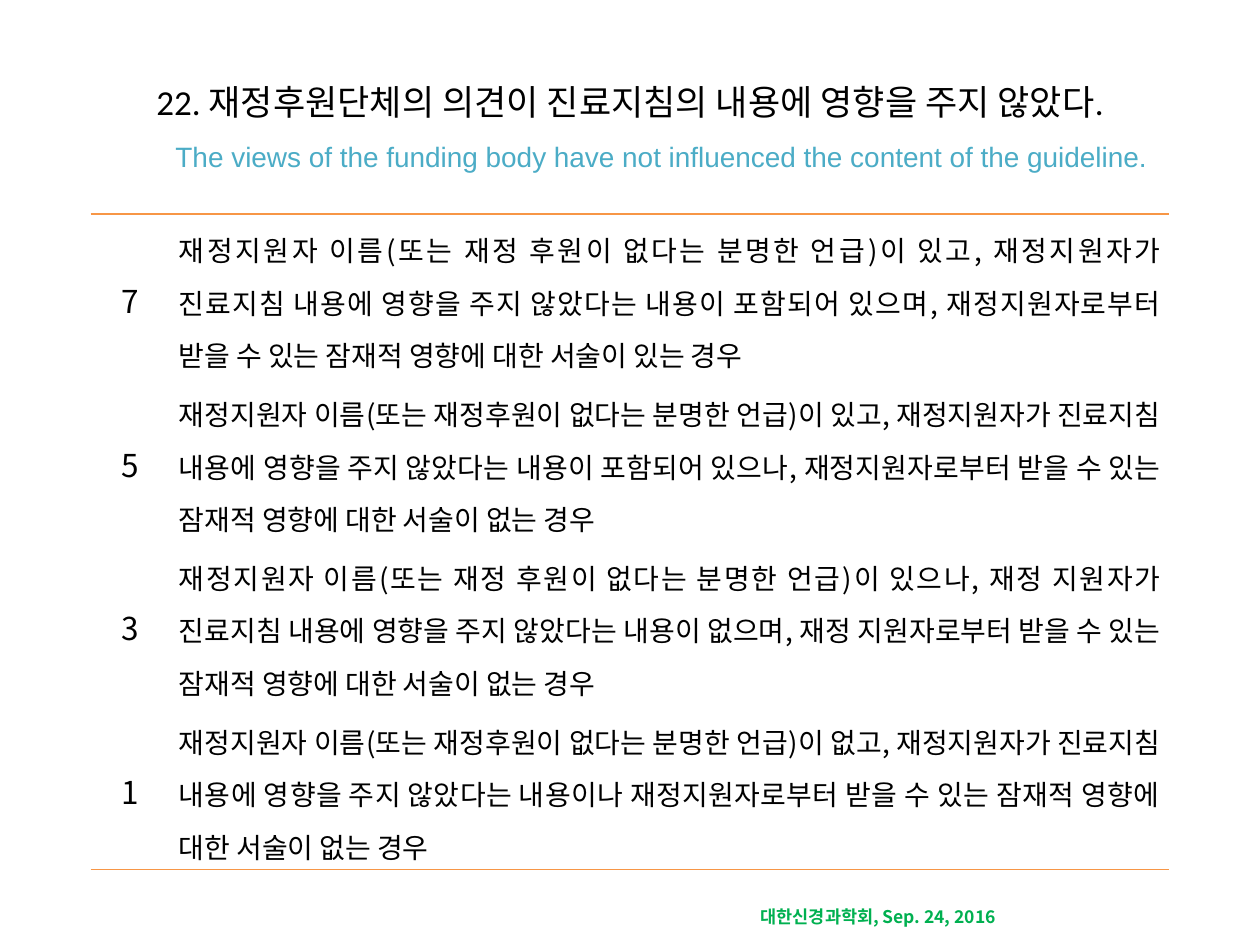
from pptx import Presentation
from pptx.dml.color import RGBColor
from pptx.enum.text import MSO_ANCHOR, PP_ALIGN
from pptx.oxml import parse_xml
from pptx.oxml.ns import nsdecls
from pptx.util import Pt

CENTER, JUSTIFY, LEFT = PP_ALIGN.CENTER, PP_ALIGN.JUSTIFY, PP_ALIGN.LEFT
MIDDLE = MSO_ANCHOR.MIDDLE

KOREAN_FONT = "Noto Sans CJK KR"
THEME = {
    "heading": {"name": "Calibri", "size": Pt(20), "color": "000000"},
    "subheading": {"name": "Arial", "size": Pt(16), "color": "4BACC6"},
    "score": {"name": KOREAN_FONT, "size": Pt(18), "color": "000000"},
    "criterion": {"name": KOREAN_FONT, "size": Pt(16), "color": "000000"},
    "footer": {"name": KOREAN_FONT, "size": Pt(10), "color": "00B050", "bold": True},
    "rule": "F79646",
}

CRITERIA = [
    ("7", "재정지원자 이름(또는 재정 후원이 없다는 분명한 언급)이 있고, 재정지원자가 "
          "진료지침 내용에 영향을 주지 않았다는 내용이 포함되어 있으며, 재정지원자로부터 "
          "받을 수 있는 잠재적 영향에 대한 서술이 있는 경우"),
    ("5", "재정지원자 이름(또는 재정후원이 없다는 분명한 언급)이 있고, 재정지원자가 "
          "진료지침 내용에 영향을 주지 않았다는 내용이 포함되어 있으나, 재정지원자로부터 "
          "받을 수 있는 잠재적 영향에 대한 서술이 없는 경우"),
    ("3", "재정지원자 이름(또는 재정 후원이 없다는 분명한 언급)이 있으나, 재정 지원자가 "
          "진료지침 내용에 영향을 주지 않았다는 내용이 없으며, 재정 지원자로부터 받을 수 "
          "있는 잠재적 영향에 대한 서술이 없는 경우"),
    ("1", "재정지원자 이름(또는 재정후원이 없다는 분명한 언급)이 없고, 재정지원자가 "
          "진료지침 내용에 영향을 주지 않았다는 내용이나 재정지원자로부터 받을 수 있는 "
          "잠재적 영향에 대한 서술이 없는 경우"),
]


def add_text(paragraph, text, style):
    """Append a run in a theme style, with the Korean font for Hangul."""
    run = paragraph.add_run()
    run.text = text
    for attribute, value in THEME[style].items():
        if attribute == "color":
            run.font.color.rgb = RGBColor.from_string(value)
        else:
            setattr(run.font, attribute, value)
    run.font._element.append(
        parse_xml(f'<a:ea {nsdecls("a")} typeface="{KOREAN_FONT}"/>'))


def set_borders(cell, ruled_sides):
    """Draw the theme rule on the given sides and clear the others."""
    properties = cell._tc.get_or_add_tcPr()
    for position, side in enumerate(("lnL", "lnR", "lnT", "lnB")):
        if side in ruled_sides:
            fill = f'<a:solidFill><a:srgbClr val="{THEME["rule"]}"/></a:solidFill>'
        else:
            fill = "<a:noFill/>"
        properties.insert(position, parse_xml(
            f'<a:{side} {nsdecls("a")} w="{Pt(1)}">{fill}</a:{side}>'))


presentation = Presentation()
presentation.slide_width, presentation.slide_height = Pt(720), Pt(540)
slide = presentation.slides.add_slide(presentation.slide_layouts[5])

# Footer
footer = slide.shapes.add_textbox(Pt(427.7), Pt(514), Pt(175.7), Pt(19.4))
footer.text_frame.word_wrap = True
footer_paragraph = footer.text_frame.paragraphs[0]
footer_paragraph.alignment = LEFT
add_text(footer_paragraph, "대한신경과학회, Sep. 24, 2016", "footer")

# Title
title = slide.shapes.title
title.left, title.top, title.width, title.height = Pt(36), Pt(21.6), Pt(648), Pt(90)
title.text_frame.vertical_anchor = MIDDLE
heading = title.text_frame.paragraphs[0]
heading.alignment = CENTER
heading.line_spacing = 1.5
heading_properties = heading._p.get_or_add_pPr()
heading_properties.set("marL", str(Pt(36)))
heading_properties.set("indent", str(Pt(-36)))
add_text(heading, "22. 재정후원단체의 의견이 진료지침의 내용에 영향을 주지 않았다.", "heading")
heading.add_line_break()
add_text(heading, "The views of the funding body have not influenced "
                  "the content of the guideline.", "subheading")

# Scoring table
COLUMN_WIDTHS = (Pt(45.4), Pt(571))
ROW_HEIGHT = Pt(93.6)
table = slide.shapes.add_table(
    len(CRITERIA), 2, Pt(51.8), Pt(122.4),
    sum(COLUMN_WIDTHS), ROW_HEIGHT * len(CRITERIA)).table
table.first_row = table.horz_banding = False
for column, width in zip(table.columns, COLUMN_WIDTHS):
    column.width = width

CELL_FORMAT = {"vertical_anchor": MIDDLE, "margin_left": Pt(5), "margin_right": Pt(5),
               "margin_top": 0, "margin_bottom": 0}
COLUMN_FORMATS = (
    ("score", {"alignment": CENTER, "line_spacing": 1.15}),
    ("criterion", {"alignment": JUSTIFY, "line_spacing": 1.3}),
)
RULED_SIDES = {0: ("lnT",), len(CRITERIA) - 1: ("lnB",)}

for row_index, texts in enumerate(CRITERIA):
    table.rows[row_index].height = ROW_HEIGHT
    for column_index, (style, paragraph_format) in enumerate(COLUMN_FORMATS):
        cell = table.cell(row_index, column_index)
        for attribute, value in CELL_FORMAT.items():
            setattr(cell, attribute, value)
        cell.fill.background()
        set_borders(cell, RULED_SIDES.get(row_index, ()))
        paragraph = cell.text_frame.paragraphs[0]
        for attribute, value in paragraph_format.items():
            setattr(paragraph, attribute, value)
        add_text(paragraph, texts[column_index], style)

presentation.save("out.pptx")
